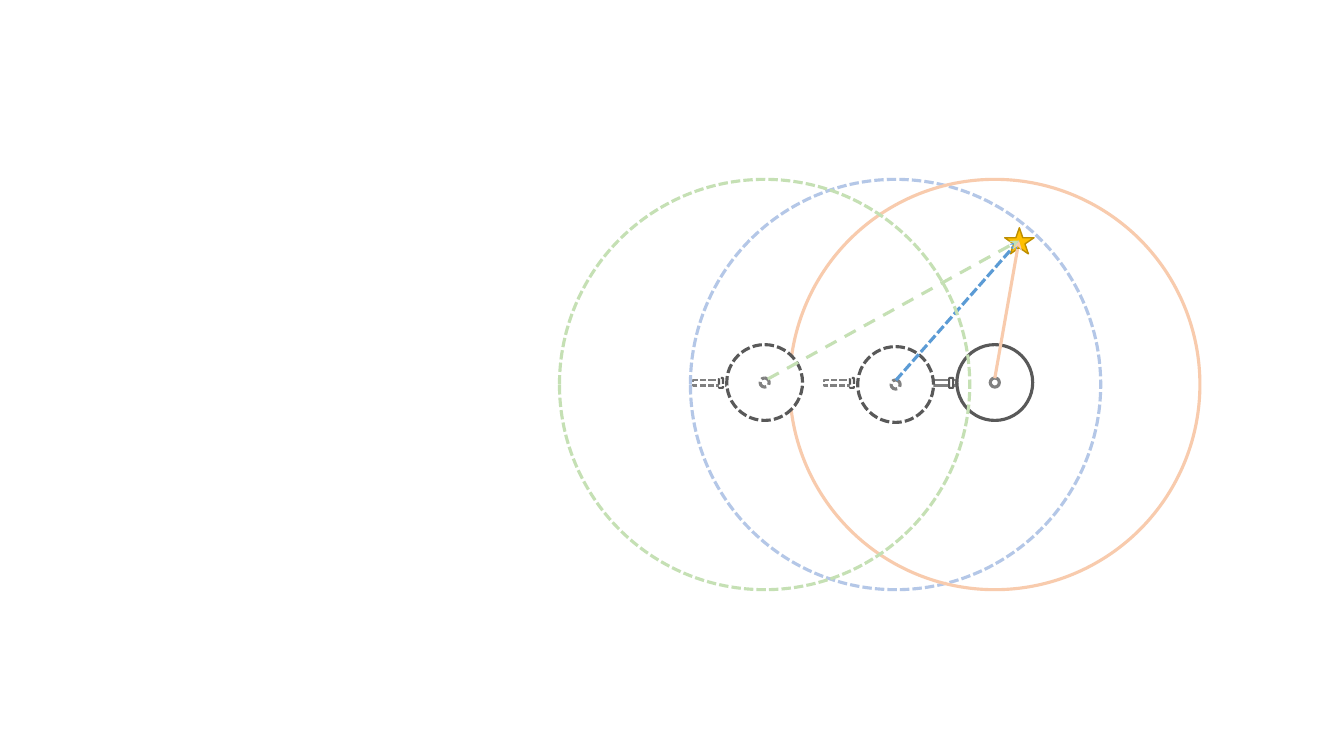
from dataclasses import dataclass

import pptx
import pptx.dml.color
import pptx.enum.dml
import pptx.enum.shapes
import pptx.oxml
import pptx.oxml.ns
import pptx.util
from pptx.util import Cm

SHAPE = pptx.enum.shapes.MSO_SHAPE
DASH = pptx.enum.dml.MSO_LINE


@dataclass(frozen=True)
class Theme:
    white: str = "FFFFFF"
    dark: str = "595959"
    grey: str = "808080"
    star: str = "FFC000"
    star_edge: str = "BD8E00"
    blue: str = "B4C7E7"
    strong_blue: str = "5B9BD5"
    orange: str = "F8CBAD"
    green: str = "C5E0B4"
    thin: float = 1
    medium: float = 1.5
    thick: float = 2.25


@dataclass(frozen=True)
class Pose:
    """One position of the moving wheel, in centimetres."""
    x: float
    y: float
    reach_color: str
    sight_color: str
    sight_start: tuple
    dash: object = None
    sight_dash: object = None


class Sketch:
    """Draws on one slide; all lengths are centimetres."""

    def __init__(self, slide, theme):
        self.slide = slide
        self.theme = theme

    def style_line(self, line, color, width, dash):
        line.color.rgb = pptx.dml.color.RGBColor.from_string(color)
        line.width = pptx.util.Pt(width)
        if dash is not None:
            line.dash_style = dash

    def shape(self, kind, x, y, width, height, color, weight, fill=None, dash=None, rotation=0):
        """Add a preset shape centred on x, y."""
        shape = self.slide.shapes.add_shape(
            kind, Cm(x - width / 2), Cm(y - height / 2), Cm(width), Cm(height))
        shape.rotation = rotation
        shape.shadow.inherit = False
        if fill:
            shape.fill.solid()
            shape.fill.fore_color.rgb = pptx.dml.color.RGBColor.from_string(fill)
        else:
            shape.fill.background()
        self.style_line(shape.line, color, weight, dash)

    def circle(self, x, y, size, color, fill=None, dash=None, rotation=0):
        self.shape(SHAPE.OVAL, x, y, size, size, color, self.theme.thick, fill, dash, rotation)

    def arrow(self, start, end, color, dash):
        arrow = self.slide.shapes.add_connector(
            pptx.enum.shapes.MSO_CONNECTOR.STRAIGHT, *map(Cm, start + end))
        self.style_line(arrow.line, color, self.theme.thick, dash)
        head = pptx.oxml.parse_xml(
            f'<a:tailEnd {pptx.oxml.ns.nsdecls("a")} type="stealth"/>')
        arrow.line._get_or_add_ln().append(head)
        arrow._element.spPr.append(
            pptx.oxml.parse_xml(f'<a:effectLst {pptx.oxml.ns.nsdecls("a")}/>'))

    def rod(self, pose):
        """Draw the rod and its collar to the left of a wheel."""
        theme = self.theme
        self.shape(SHAPE.RECTANGLE, pose.x - 1.39, ROD_Y, 0.84, 0.13,
                   theme.grey, theme.medium, dash=pose.dash, rotation=180)
        self.shape(SHAPE.ROUNDED_RECTANGLE, pose.x - 1.1, ROD_Y, 0.25, 0.1,
                   theme.dark, theme.medium, theme.white, pose.dash, 90)

    def wheel(self, pose):
        """Draw a wheel with its hub, its reach and its line of sight."""
        theme = self.theme
        self.circle(pose.x, pose.y, 1.91, theme.dark, theme.white, pose.dash, 90)
        self.circle(pose.x, pose.y, 0.23, theme.grey, dash=pose.dash, rotation=90)
        self.circle(pose.x, REACH_Y, 10.34, pose.reach_color, dash=pose.dash)
        self.arrow(pose.sight_start, TARGET, pose.sight_color, pose.sight_dash)


THEME = Theme()
ROD_Y = 9.65
REACH_Y = 9.69
TARGET = (25.68, 6.06)
POSES = [
    Pose(22.57, 9.69, THEME.blue, THEME.strong_blue, (22.58, 9.58),
         DASH.SQUARE_DOT, DASH.SQUARE_DOT),
    Pose(25.07, 9.64, THEME.orange, THEME.orange, (25.07, 9.53)),
    Pose(19.27, 9.64, THEME.green, THEME.green, (19.35, 9.55),
         DASH.SQUARE_DOT, DASH.DASH),
]


def main():
    deck = pptx.Presentation()
    deck.slide_width, deck.slide_height = Cm(33.87), Cm(19.05)
    sketch = Sketch(deck.slides.add_slide(deck.slide_layouts[6]), THEME)
    for pose in POSES:
        sketch.rod(pose)
    sketch.shape(SHAPE.STAR_5_POINT, 25.69, 6.07, 0.74, 0.66,
                 THEME.star_edge, THEME.thin, THEME.star)
    for pose in POSES:
        sketch.wheel(pose)
    deck.save("out.pptx")


if __name__ == "__main__":
    main()
